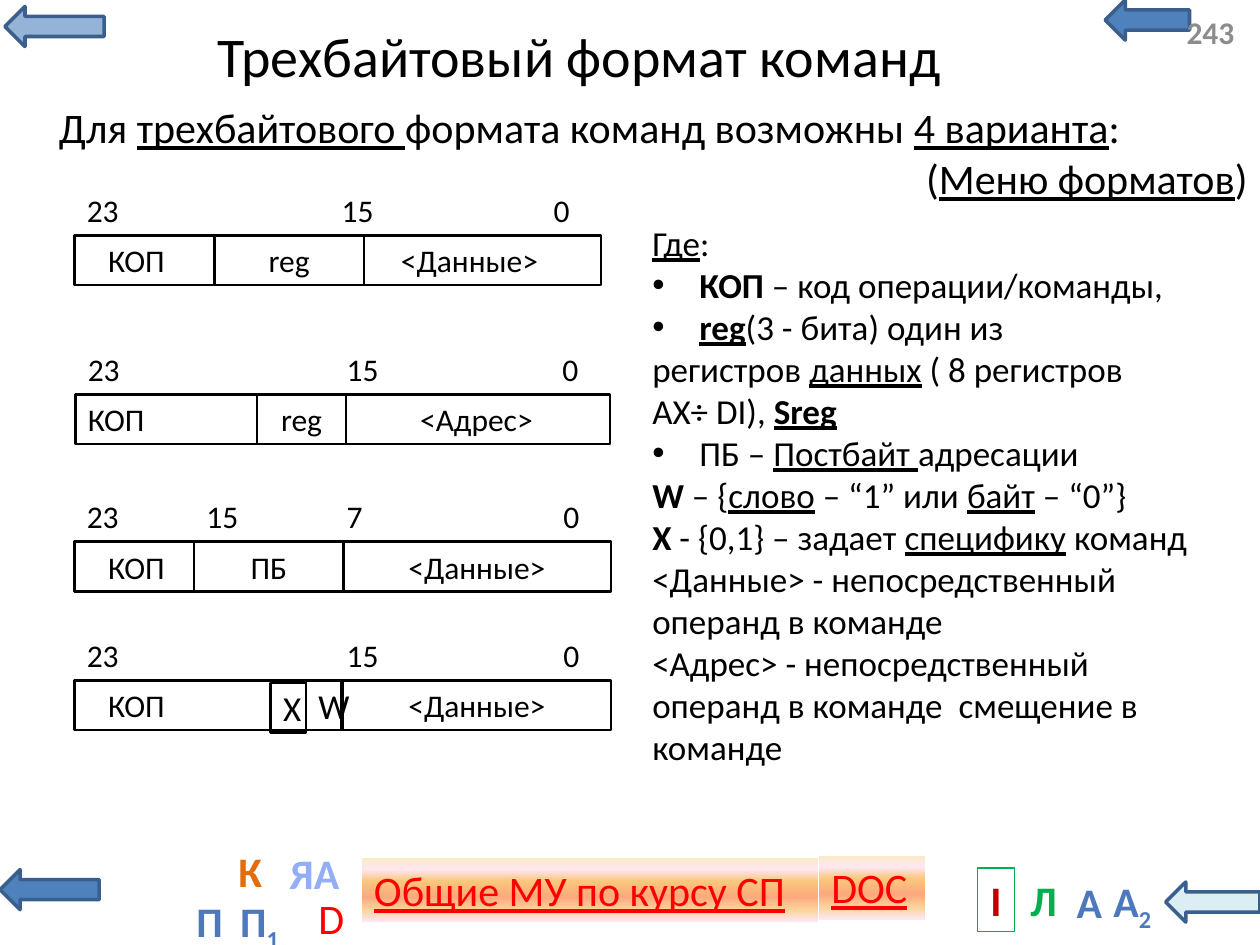
from dataclasses import dataclass

from lxml.etree import SubElement
from pptx import Presentation
from pptx.dml.color import RGBColor
from pptx.enum.shapes import MSO_SHAPE
from pptx.enum.text import MSO_ANCHOR, PP_ALIGN
from pptx.oxml.ns import qn
from pptx.util import Cm, Pt


@dataclass(frozen=True)
class Theme:
    font: str = "Calibri"
    ink: str = "000000"
    paper: str = "FFFFFF"
    gray: str = "8C8C8C"
    red: str = "FF0000"
    dark_red: str = "C00000"
    green: str = "00B050"
    orange: str = "E46C0A"
    blue: str = "4D79BC"
    lilac: str = "93AEF7"
    arrow: str = "4F81BD"
    arrow_light: str = "95B3D7"
    arrow_pale: str = "DBEEF4"
    arrow_edge: str = "3A5F8C"
    sunset: tuple = ((0, "FBEAC7"), (18, "FEE7F2"), (36, "FAC77D"),
                     (61, "FBA97D"), (82, "FBD49C"), (100, "FEE7F2"))
    title: int = 32
    lead: int = 24
    body: int = 20
    label: int = 18


THEME = Theme()
LEFT, CENTER, RIGHT = PP_ALIGN.LEFT, PP_ALIGN.CENTER, PP_ALIGN.RIGHT
CELL_HEIGHT = 1.0

# Spans are (text, style): b is bold, u is underlined, _ is subscript
LEAD = [
    (LEFT, [("Для ", ""), ("трехбайтового ", "u"), ("формата команд возможны ", ""),
            ("4 варианта", "u"), (":", "")]),
    (RIGHT, [("(", ""), ("Меню форматов", "u"), (")", "")]),
]

# Each legend line is (has bullet, spans)
LEGEND = [
    (False, [("Где", "u"), (":", "")]),
    (True, [("КОП", "b"), (" – код операции/команды,", "")]),
    (True, [("reg", "bu"), ("(3 - бита) один из", "")]),
    (False, [("регистров ", ""), ("данных", "u"), (" ( 8 регистров", "")]),
    (False, [("AX÷ DI), ", ""), ("Sreg", "bu")]),
    (True, [("ПБ – ", ""), ("Постбайт ", "u"), ("адресации", "")]),
    (False, [("W", "b"), (" – {", ""), ("слово", "u"), (" – “1” или ", ""),
             ("байт", "u"), (" – “0”}", "")]),
    (False, [("X", "b"), (" - {0,1} – задает ", ""), ("специфику", "u"),
             (" команд", "")]),
    (False, [("<Данные> - непосредственный операнд в команде", "")]),
    (False, [("<Адрес> - непосредственный операнд в команде  смещение в команде", "")]),
]

# Formats: left, top, half width, operand, middle bit, indent of the code
FORMATS = [
    (1.5, 4.75, 5.31, "<Данные>", "15", 0.43),
    (1.52, 7.95, 5.39, "<Адрес>", "15", 0),
    (1.5, 10.92, 5.41, "<Данные>", "7", 0.43),
    (1.5, 13.72, 5.41, "<Данные>", "15", 0.43),
]

# Fields laid over the formats: text, left, top, width, fill, size
FIELDS = [
    ("reg", 5.18, 7.95, 1.8, THEME.paper, THEME.label),
    ("ПБ", 3.91, 10.92, 3.02, THEME.paper, THEME.label),
    ("reg", 4.32, 4.75, 3.02, THEME.paper, THEME.label),
    ("W", 6.17, 13.72, 0.71, None, THEME.body),
    ("Х", 5.46, 13.77, 0.71, None, THEME.body),
]

ARROWS = [
    (22.28, 0, 1.7, THEME.arrow),
    (0, 17.53, 2.0, THEME.arrow),
    (0.1, 0.13, 2.0, THEME.arrow_light),
    (23.5, 17.78, 1.9, THEME.arrow_pale),
]

# Footer marks: spans, left, top, width, colour, border
MARKS = [
    ([("А", "b")], 21.44, 17.55, 1.04, THEME.blue, None),
    ([("К", "b")], 4.55, 16.92, 0.99, THEME.orange, None),
    ([("D", "")], 6.17, 17.86, 0.99, THEME.red, THEME.paper),
    ([("I", "b")], 19.71, 17.5, 0.74, THEME.dark_red, THEME.green),
    ([("Л", "b")], 20.52, 17.5, 1.04, THEME.green, None),
    ([("А", "b"), ("2", "b_")], 22.15, 17.53, 1.35, THEME.blue, None),
    ([("ЯА", "b")], 5.54, 16.97, 1.6, THEME.lilac, None),
    ([("П", "b")], 3.71, 17.93, 0.84, THEME.blue, None),
    ([("П", "b"), ("1", "b_")], 4.55, 17.93, 1.37, THEME.blue, None),
]

BUTTONS = [
    ("Общие МУ по курсу СП", 7.29, 17.3, 9.2, 1.28),
    ("DOC", 16.51, 17.25, 2.13, 1.28),
]


def apply(target, values):
    for name, value in values.items():
        setattr(target, name, value)


def add_spans(para, spans, size, color):
    for text, style in spans:
        span = para.add_run()
        span.text = text
        apply(span.font, {"name": THEME.font, "size": Pt(size),
                          "bold": "b" in style, "underline": "u" in style})
        span.font.color.rgb = RGBColor.from_string(color)
        if "_" in style:
            span.font._element.set("baseline", "-25000")


def write(box, lines, size, color, anchor=MSO_ANCHOR.TOP):
    """Fill a box with lines, each given as (alignment, spans)."""
    frame = box.text_frame
    apply(frame, {"word_wrap": True, "vertical_anchor": anchor})
    for index, (align, spans) in enumerate(lines):
        para = frame.add_paragraph() if index else frame.paragraphs[0]
        para.alignment = align
        add_spans(para, spans, size, color)


def add_text(page, place, lines, size, color=THEME.ink, anchor=MSO_ANCHOR.TOP):
    box = page.shapes.add_textbox(*map(Cm, place))
    write(box, lines, size, color, anchor)
    return box


def add_box(page, place, fill=None, line=None, weight=1.5, kind=MSO_SHAPE.RECTANGLE):
    box = page.shapes.add_shape(kind, *map(Cm, place))
    box.shadow.inherit = False
    if fill:
        box.fill.solid()
        box.fill.fore_color.rgb = RGBColor.from_string(fill)
    else:
        box.fill.background()
    if line:
        box.line.color.rgb = RGBColor.from_string(line)
        box.line.width = Pt(weight)
    else:
        box.line.fill.background()
    return box


def add_cell(page, place, text, fill=None, size=THEME.label, align=CENTER):
    box = add_box(page, place, fill, THEME.ink)
    write(box, [(align, [(text, "")])], size, THEME.ink, MSO_ANCHOR.MIDDLE)
    return box


def add_format(page, left, top, half, operand, middle_bit, indent):
    code = add_cell(page, (left, top, half, CELL_HEIGHT), "КОП", align=LEFT)
    code.text_frame.margin_left = Cm(0.25 + indent)
    add_cell(page, (left + half, top, half, CELL_HEIGHT), operand)
    bits = [("23", left), (middle_bit, left + half - 0.17), ("0", left + 2 * half - 1.21)]
    for bit, bit_left in bits:
        add_bit(page, bit, bit_left, top)


def add_bit(page, bit, left, cell_top):
    add_text(page, (left, cell_top - 1.02, 1.45, 1.02), [(LEFT, [(bit, "")])], THEME.label)


def add_button(page, text, *place):
    box = add_box(page, place)
    box.fill.gradient()
    box.fill.gradient_angle = 270
    stops = box._element.spPr.find(qn("a:gradFill")).find(qn("a:gsLst"))
    for stop in list(stops):
        stops.remove(stop)
    for position, color in THEME.sunset:
        stop = SubElement(stops, qn("a:gs"), pos=str(position * 1000))
        SubElement(stop, qn("a:srgbClr"), val=color)
    write(box, [(LEFT, [(text, "u")])], THEME.lead, THEME.red)


def add_legend(page):
    box = page.shapes.add_textbox(Cm(12.9), Cm(4.34), Cm(11.99), Cm(11.38))
    frame = box.text_frame
    frame.word_wrap = True
    for index, (bulleted, spans) in enumerate(LEGEND):
        para = frame.add_paragraph() if index else frame.paragraphs[0]
        if bulleted:
            props = para._p.get_or_add_pPr()
            apply_indent = {"marL": Cm(0.95), "indent": -Cm(0.95)}
            for name, value in apply_indent.items():
                props.set(name, str(int(value)))
            SubElement(props, qn("a:buFont"), typeface="Arial")
            SubElement(props, qn("a:buChar"), char="•")
        add_spans(para, spans, THEME.body, THEME.ink)


def main():
    deck = Presentation()
    apply(deck, {"slide_width": Cm(25.4), "slide_height": Cm(19.05)})
    page = deck.slides.add_slide(deck.slide_layouts[6])

    # Navigation arrows and footer
    for left, top, width, fill in ARROWS:
        add_box(page, (left, top, width, 0.81), fill, THEME.arrow_edge, 2,
                MSO_SHAPE.LEFT_ARROW)
    for button in BUTTONS:
        add_button(page, *button)
    for spans, left, top, width, color, border in MARKS:
        mark = add_box(page, (left, top, width, 1.28), None, border, 0.75)
        write(mark, [(CENTER, spans)], THEME.lead, color)

    # Heading
    add_text(page, (2.39, 0.13, 18.59, 1.96),
             [(CENTER, [("Трехбайтовый формат команд", "")])],
             THEME.title, anchor=MSO_ANCHOR.MIDDLE)
    add_text(page, (23.67, 0.13, 1.63, 1.02), [(LEFT, [("243", "b")])],
             THEME.label, THEME.gray, MSO_ANCHOR.MIDDLE)
    add_text(page, (0.94, 1.93, 24.46, 2.31), LEAD, THEME.lead)
    add_legend(page)

    # Command formats
    for command in FORMATS:
        add_format(page, *command)
    for text, left, top, width, fill, size in FIELDS:
        add_cell(page, (left, top, width, CELL_HEIGHT), text, fill, size)
    add_bit(page, "15", 3.91, 10.92)

    deck.save("out.pptx")


if __name__ == "__main__":
    main()
